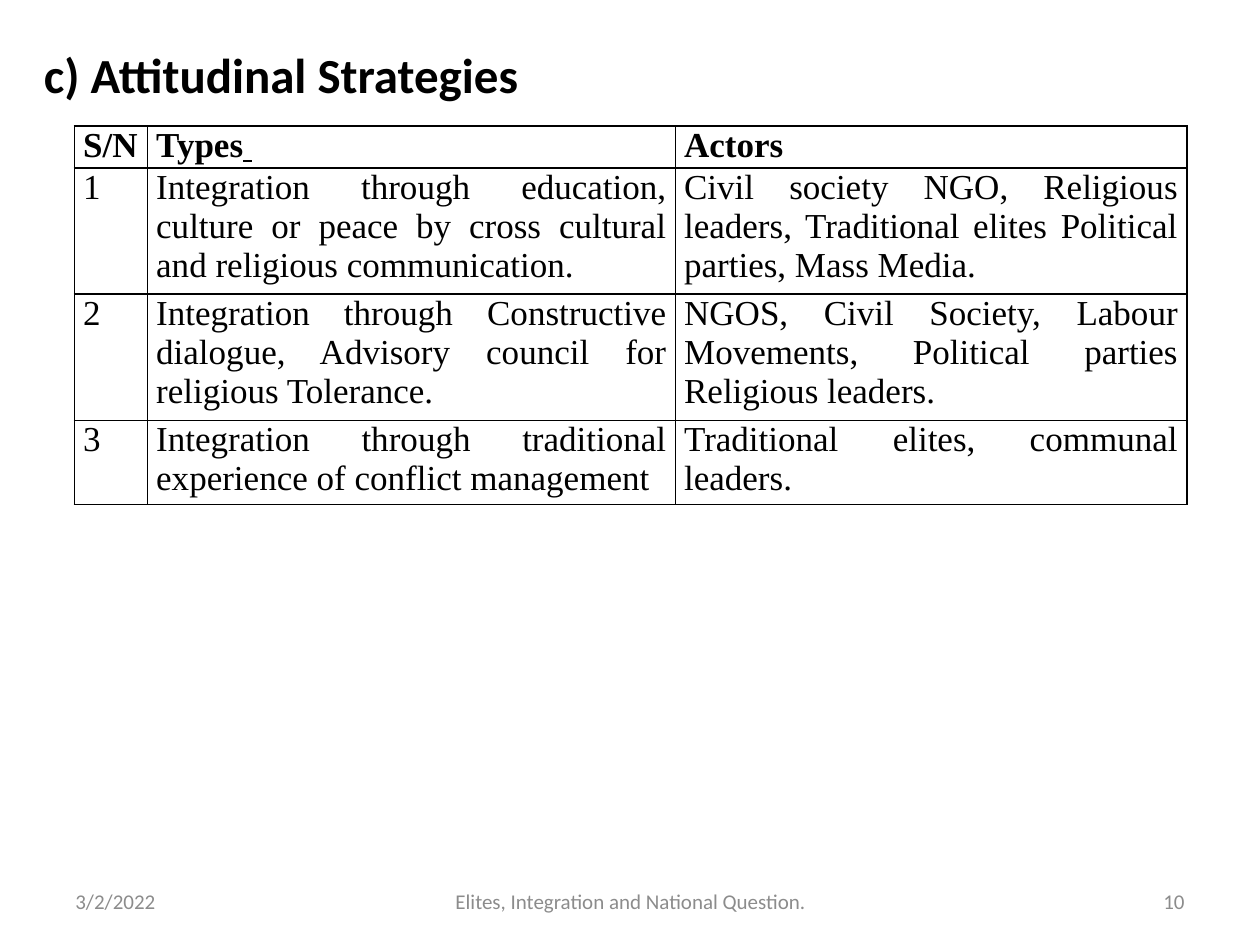
from lxml import etree
from pptx import Presentation
from pptx import util as u
from pptx.dml.color import RGBColor
from pptx.enum import text
from pptx.oxml import ns

COLORS = {"ink": "000000", "footer": "8C8C8C"}
COLUMN_WIDTHS = [0.58, 4.19, 4.06]
ROW_HEIGHTS = [0.13, 0.89, 0.6, 0.6]
TABLE_HEIGHT = 3
STRATEGIES = [
    ["S/N", "Types", "Actors"],
    ["1",
     "Integration through education, culture or peace by cross cultural and religious communication.",
     "Civil society NGO, Religious leaders, Traditional elites Political parties, Mass Media."],
    ["2",
     "Integration through Constructive dialogue, Advisory council for religious Tolerance.",
     "NGOS, Civil Society, Labour Movements, Political parties Religious leaders."],
    ["3",
     "Integration through traditional experience of conflict management",
     "Traditional elites, communal leaders."],
]
FOOTERS = [
    ("3/2/2022", 0.5, 2.33, text.PP_ALIGN.LEFT),
    ("Elites, Integration and National Question.", 3.42, 3.17, text.PP_ALIGN.CENTER),
    ("10", 7.17, 2.33, text.PP_ALIGN.RIGHT),
]


def style_run(run, font, size, color, bold=False):
    run.font.name = font
    run.font.size = u.Pt(size)
    run.font.bold = bold
    run.font.color.rgb = RGBColor.from_string(COLORS[color])


def add_label(slide, words, left, top, width, height, size, color,
              bold=False, align=text.PP_ALIGN.LEFT):
    label = slide.shapes.add_textbox(*map(u.Inches, (left, top, width, height)))
    frame = label.text_frame
    frame.text = words
    frame.word_wrap = True
    frame.vertical_anchor = text.MSO_ANCHOR.MIDDLE
    paragraph = frame.paragraphs[0]
    paragraph.alignment = align
    style_run(paragraph.runs[0], "Calibri", size, color, bold)


def add_borders(cell):
    properties = cell._tc.get_or_add_tcPr()
    for position, side in enumerate(("lnL", "lnR", "lnT", "lnB")):
        border = etree.Element(ns.qn(f"a:{side}"), w=str(u.Pt(1)))
        fill = etree.SubElement(border, ns.qn("a:solidFill"))
        etree.SubElement(fill, ns.qn("a:srgbClr"), val=COLORS["ink"])
        properties.insert(position, border)


def fill_cell(cell, words, bold):
    cell.margin_left = cell.margin_right = u.Inches(0.07)
    cell.margin_top = cell.margin_bottom = 0
    cell.fill.background()
    add_borders(cell)
    cell.text_frame.text = words
    paragraph = cell.text_frame.paragraphs[0]
    paragraph.alignment = text.PP_ALIGN.JUSTIFY
    if words == "Types":
        paragraph.add_run().text = " "
        paragraph.runs[-1].font.underline = True
    for run in paragraph.runs:
        style_run(run, "Times New Roman", 20, "ink", bold)


def add_strategy_table(slide):
    frame = slide.shapes.add_table(
        len(ROW_HEIGHTS), len(COLUMN_WIDTHS), u.Inches(0.59), u.Inches(1),
        u.Inches(sum(COLUMN_WIDTHS)), u.Inches(TABLE_HEIGHT))
    table = frame.table
    table.horz_banding = False
    for column, width in zip(table.columns, COLUMN_WIDTHS):
        column.width = u.Inches(width)
    for index, (row, height) in enumerate(zip(table.rows, ROW_HEIGHTS)):
        row.height = u.Inches(height)
        for cell, words in zip(row.cells, STRATEGIES[index]):
            fill_cell(cell, words, bold=index == 0)
    frame.height = u.Inches(TABLE_HEIGHT)


def main():
    deck = Presentation()
    deck.slide_width, deck.slide_height = u.Inches(10), u.Inches(7.5)
    slide = deck.slides.add_slide(deck.slide_layouts[6])
    add_label(slide, "c) Attitudinal Strategies", 0.25, 0.34, 9.25, 0.5, 28, "ink", bold=True)
    add_strategy_table(slide)
    for words, left, width, align in FOOTERS:
        add_label(slide, words, left, 6.95, width, 0.4, 12, "footer", align=align)
    deck.save("out.pptx")


if __name__ == "__main__":
    main()
